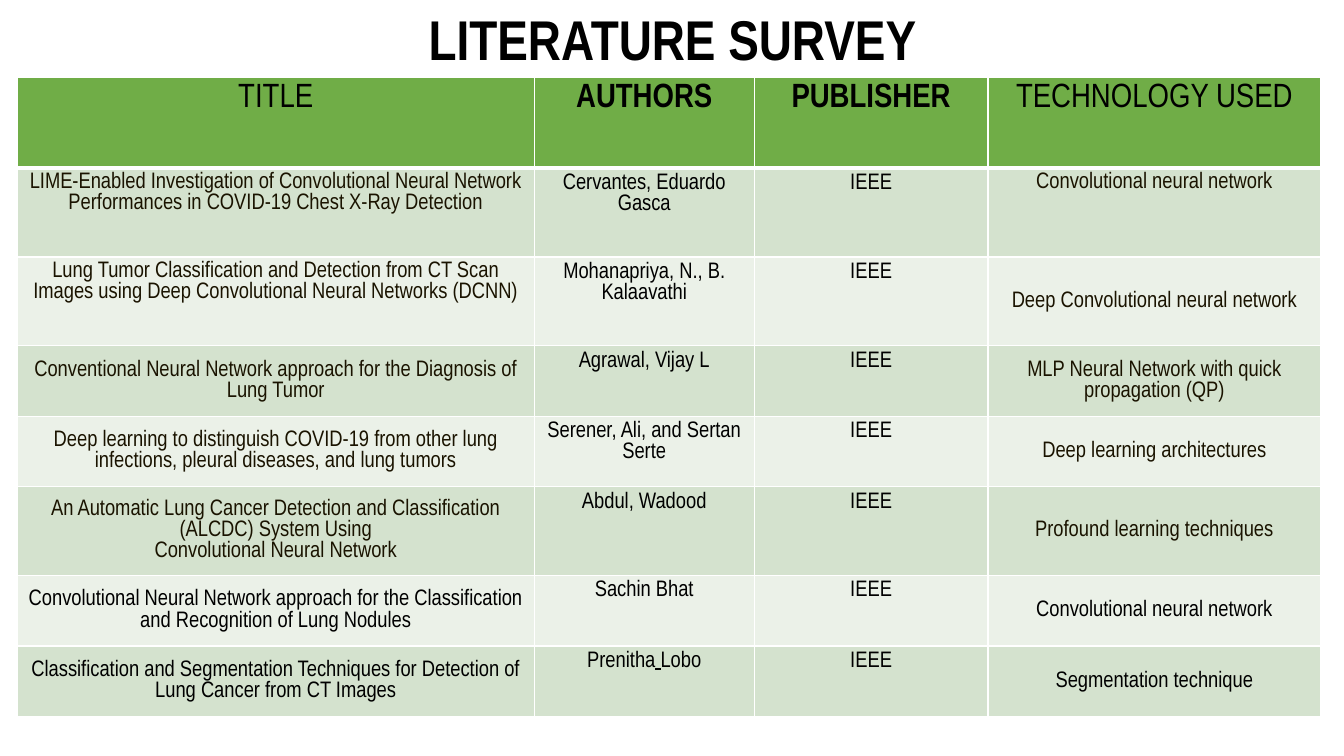
from dataclasses import dataclass

from lxml import etree
from pptx import Presentation
from pptx.dml.color import RGBColor
from pptx.enum.text import MSO_ANCHOR, PP_ALIGN
from pptx.oxml.ns import qn
from pptx.util import Inches, Pt


@dataclass(frozen=True)
class Theme:
    """Colours, font and type sizes of the slide."""
    font: str = "Arial Narrow"
    black: str = "000000"
    brown: str = "1A1300"
    white: str = "FFFFFF"
    header: str = "70AD47"
    bands: tuple = ("D4E2CE", "EBF1E8")
    title_size: int = 40
    header_size: int = 24
    body_size: int = 16


THEME = Theme()
TOP, MIDDLE = MSO_ANCHOR.TOP, MSO_ANCHOR.MIDDLE
COLUMN_WIDTHS = (5.13, 2.18, 2.32, 3.3)
ROW_HEIGHTS = (0.9, 0.88, 0.88, 0.7, 0.7, 0.88, 0.7, 0.7)
HEADERS = (("TITLE", False), ("AUTHORS", True), ("PUBLISHER", True), ("TECHNOLOGY USED", False))
PUBLISHER = "IEEE"
PAPERS = (
    ("LIME-Enabled Investigation of Convolutional Neural Network Performances in COVID-19 "
     "Chest X-Ray Detection",
     "Cervantes, Eduardo Gasca", "Convolutional neural network", TOP, TOP, THEME.brown),
    ("Lung Tumor Classification and Detection from CT Scan Images using Deep Convolutional "
     "Neural Networks (DCNN)",
     "Mohanapriya, N., B. Kalaavathi", "Deep Convolutional neural network",
     TOP, MIDDLE, THEME.brown),
    ("Conventional Neural Network approach for the Diagnosis of Lung Tumor",
     "Agrawal, Vijay L", "MLP Neural Network with quick propagation (QP)",
     MIDDLE, MIDDLE, THEME.brown),
    ("Deep learning to distinguish COVID-19 from other lung infections, pleural diseases, "
     "and lung tumors",
     "Serener, Ali, and Sertan Serte", "Deep learning architectures",
     MIDDLE, MIDDLE, THEME.brown),
    ("An Automatic Lung Cancer Detection and Classification (ALCDC) System Using\n"
     "Convolutional Neural Network",
     "Abdul, Wadood", "Profound learning techniques", MIDDLE, MIDDLE, THEME.brown),
    ("Convolutional Neural Network approach for the Classification and Recognition of Lung Nodules",
     "Sachin Bhat", "Convolutional neural network", MIDDLE, MIDDLE, THEME.black),
    ("Classification and Segmentation Techniques for Detection of Lung Cancer from CT Images",
     ("Prenitha", " ", "Lobo"), "Segmentation technique", MIDDLE, MIDDLE, THEME.black),
)


def write(frame, text, size, color, bold=False):
    """Write centred paragraphs; in a tuple of runs, a lone space is underlined."""
    lines = [text] if isinstance(text, tuple) else [(line,) for line in text.split("\n")]
    for index, line in enumerate(lines):
        paragraph = frame.add_paragraph() if index else frame.paragraphs[0]
        paragraph.alignment = PP_ALIGN.CENTER
        for part in line:
            run = paragraph.add_run()
            run.text = part
            run.font.name = THEME.font
            run.font.size = Pt(size)
            run.font.bold = bold
            run.font.underline = part == " "
            run.font.color.rgb = RGBColor.from_string(color)


def set_margins(holder, across, down):
    """Set equal side margins and equal top and bottom margins."""
    holder.margin_left = holder.margin_right = Inches(across)
    holder.margin_top = holder.margin_bottom = Inches(down)


def add_borders(cell, top, bottom):
    """Draw white borders round a cell, with widths in points."""
    properties = cell._tc.get_or_add_tcPr()
    for side, width in (("L", 1), ("R", 1), ("T", top), ("B", bottom)):
        line = etree.SubElement(properties, qn("a:ln" + side), w=str(Pt(width)))
        fill = etree.SubElement(line, qn("a:solidFill"))
        etree.SubElement(fill, qn("a:srgbClr"), val=THEME.white)


def style_cell(cell, fill, anchor=TOP, margins=(0.1, 0.05), top=1, bottom=1):
    """Give a cell its borders, fill, anchor and margins."""
    add_borders(cell, top, bottom)
    cell.fill.solid()
    cell.fill.fore_color.rgb = RGBColor.from_string(fill)
    cell.vertical_anchor = anchor
    set_margins(cell, *margins)


def add_heading(slide, left, top, width, height):
    """Add the slide heading in the given box."""
    box = slide.shapes.add_textbox(*map(Inches, (left, top, width, height)))
    box.text_frame.word_wrap = True
    set_margins(box.text_frame, 0.1, 0.05)
    write(box.text_frame, "LITERATURE SURVEY", THEME.title_size, THEME.black, True)


def add_survey(slide, left, top, width, height):
    """Add the table of papers, scaled to the given box."""
    table = slide.shapes.add_table(len(ROW_HEIGHTS), len(COLUMN_WIDTHS),
                                   *map(Inches, (left, top, width, height))).table
    for column, share in zip(table.columns, COLUMN_WIDTHS):
        column.width = Inches(width * share / sum(COLUMN_WIDTHS))
    for row, share in zip(table.rows, ROW_HEIGHTS):
        row.height = Inches(height * share / sum(ROW_HEIGHTS))

    for column, (label, bold) in enumerate(HEADERS):
        cell = table.cell(0, column)
        style_cell(cell, THEME.header, bottom=3)
        write(cell.text_frame, label, THEME.header_size, THEME.black, bold)

    narrow, wide = (0.07, 0.04), (0.1, 0.05)
    for row, (title, authors, technology, title_anchor, tech_anchor, ink) in enumerate(PAPERS, 1):
        entries = (
            (title, title_anchor, narrow, ink),
            (authors, TOP, wide, THEME.black),
            (PUBLISHER, TOP, wide, THEME.black),
            (technology, tech_anchor, narrow, ink),
        )
        for column, (text, anchor, margins, color) in enumerate(entries):
            cell = table.cell(row, column)
            style_cell(cell, THEME.bands[(row - 1) % 2], anchor, margins, 3 if row == 1 else 1)
            write(cell.text_frame, text, THEME.body_size, color)


def main():
    """Build and save the literature survey slide."""
    deck = Presentation()
    deck.slide_width, deck.slide_height = Inches(13.33), Inches(7.5)
    slide = deck.slides.add_slide(deck.slide_layouts[6])
    add_heading(slide, 0.08, 0, 13.18, 0.77)
    add_survey(slide, 0.17, 0.77, 12.93, 6.34)
    deck.save("out.pptx")


main()
